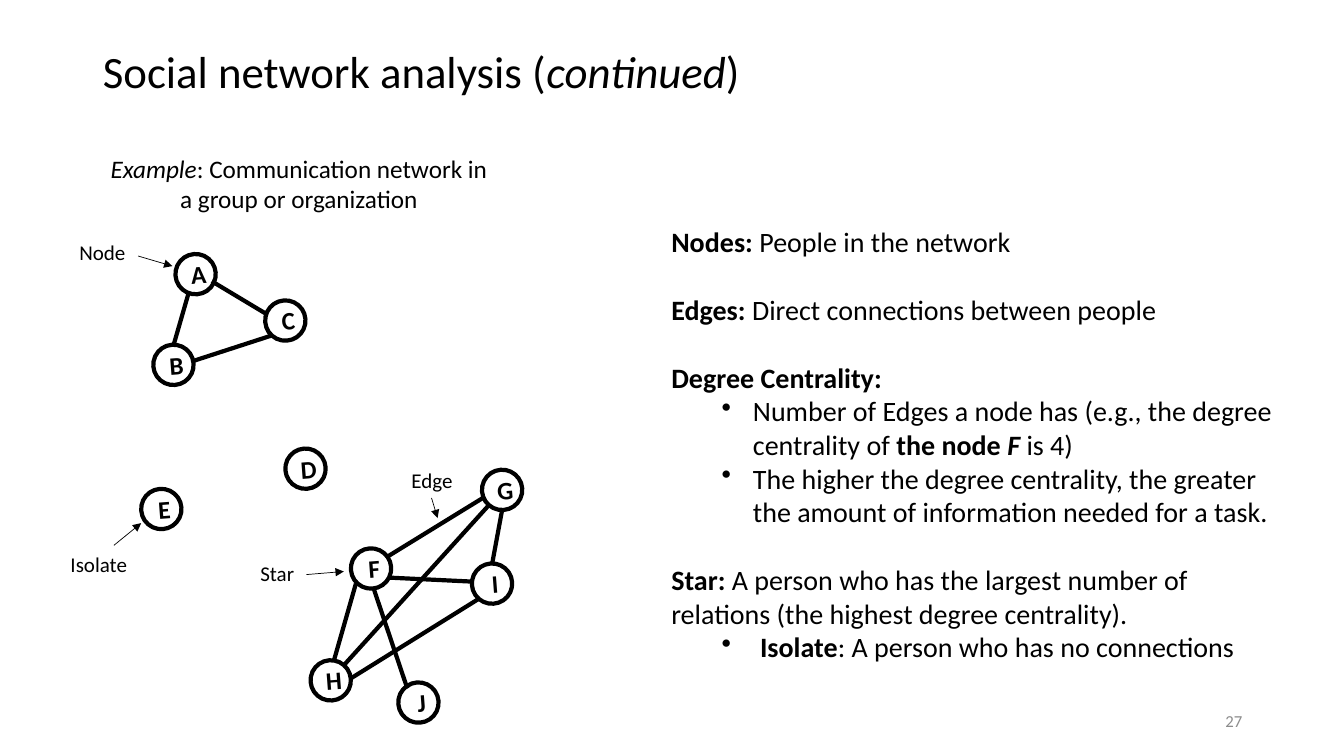
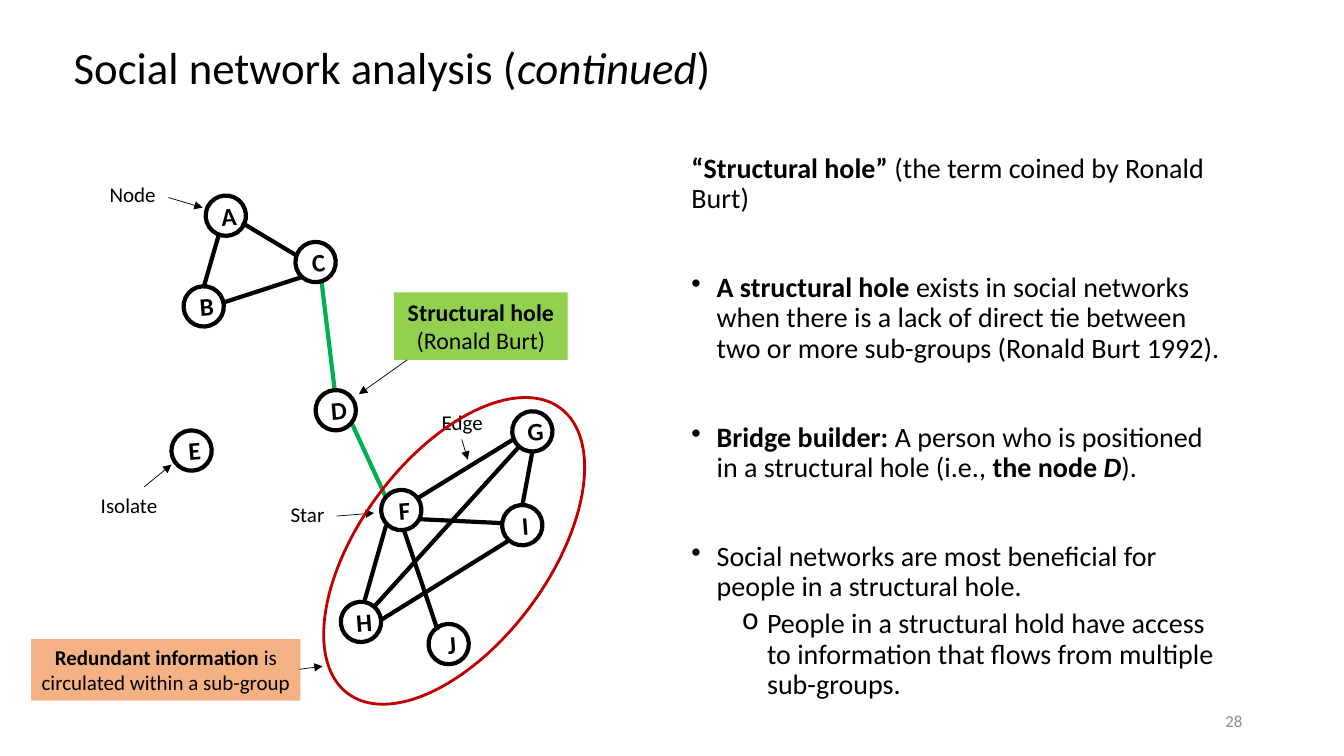
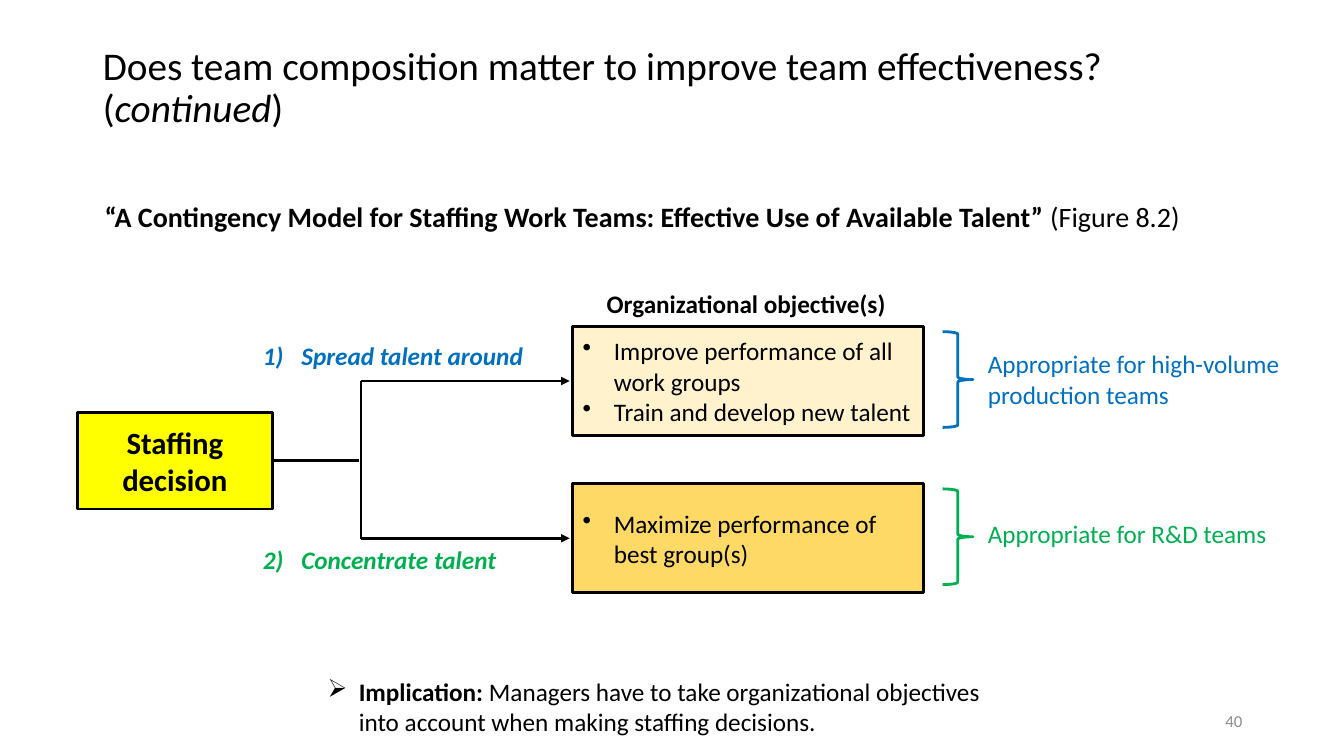
import pptx
import pptx.dml.color
import pptx.enum.shapes
import pptx.enum.text
import pptx.oxml.ns
import pptx.util
from lxml import etree
from pptx.util import Inches

COLORS = {
    "black": "000000", "gray": "8C8C8C", "green": "00B050", "blue": "0070C0",
    "red": "C00000", "lime": "92D050", "peach": "F4B183", "yellow": "FFFF00",
    "cream": "FFF2CC", "gold": "FFD966",
}
SHAPE = pptx.enum.shapes.MSO_SHAPE
ALIGN = pptx.enum.text.PP_ALIGN
ANCHOR = pptx.enum.text.MSO_ANCHOR

NODE_SIZE = 0.4
NODES = {
    "A": (1.74, 2.52), "B": (1.52, 3.42), "C": (2.63, 2.98), "D": (2.83, 4.45),
    "E": (1.4, 4.85), "F": (3.48, 5.44), "G": (4.78, 4.66), "H": (3.08, 6.55),
    "I": (4.68, 5.59), "J": (3.95, 6.77),
}
EDGES = [
    (1.87, 2.91, 1.72, 3.43), (2.69, 3.33, 1.92, 3.58), (2.65, 3.12, 2.1, 2.79),
    (4.79, 4.94, 3.83, 5.53), (3.53, 5.79, 3.31, 6.56), (4.75, 5.94, 3.48, 6.73),
    (4.98, 5.06, 4.88, 5.6), (4.85, 5.01, 3.41, 6.6), (4.68, 5.77, 3.85, 5.73),
    (3.71, 5.85, 4.04, 6.83),
]
LABELS = {
    "Node": ((0.67, 2.33, 0.69, 0.35), (1.37, 2.54, 1.71, 2.64)),
    "Edge": ((3.96, 4.59, 0.65, 0.35), (4.28, 4.94, 4.34, 5.14)),
    "Isolate": ((0.6, 5.42, 0.76, 0.35), (1.13, 5.41, 1.4, 5.19)),
    "Star": ((2.47, 5.51, 0.56, 0.35), (3.04, 5.7, 3.41, 5.67)),
}


def rgb(name):
    return pptx.dml.color.RGBColor.from_string(COLORS[name])


def add_child(parent, tag, **attributes):
    return etree.SubElement(parent, pptx.oxml.ns.qn(tag), **attributes)


def write(paragraph, text, size=18, color="black", style="", align=ALIGN.LEFT,
          bullet=None, number=None, left=0, hanging=0, level=0, before=0, spacing=None):
    """Text is a string or a list of (text, style) pairs; style holds b and i."""
    paragraph.alignment = align
    paragraph.level = level
    paragraph.space_before = pptx.util.Pt(before)
    if spacing:
        paragraph.line_spacing = spacing
    pieces = [(text, style)] if isinstance(text, str) else text
    for piece, piece_style in pieces:
        run = paragraph.add_run()
        run.text = piece
        run.font.name = "Calibri"
        run.font.size = pptx.util.Pt(size)
        run.font.color.rgb = rgb(color)
        run.font.bold = "b" in piece_style
        run.font.italic = "i" in piece_style
    properties = paragraph._p.get_or_add_pPr()
    properties.set("marL", str(Inches(left)))
    properties.set("indent", str(Inches(-hanging)))
    if number:
        add_child(properties, "a:buAutoNum", type="arabicParenR", startAt=str(number))
    elif bullet:
        add_child(properties, "a:buChar", char=bullet)
    else:
        add_child(properties, "a:buNone")


class Deck:
    def __init__(self):
        self.presentation = pptx.Presentation()
        self.presentation.slide_width = Inches(13.33)
        self.presentation.slide_height = Inches(7.5)
        self.slide = None

    def start(self, title, box, page, size=32):
        self.slide = self.presentation.slides.add_slide(self.presentation.slide_layouts[5])
        shape = self.slide.shapes.title
        shape.left, shape.top, shape.width, shape.height = map(Inches, box)
        self.fill_text(shape, [(title, {})], ANCHOR.MIDDLE, size=size, spacing=0.9)
        self.text(page, (9.42, 6.95, 3, 0.4), ANCHOR.MIDDLE,
                  size=12, color="gray", align=ALIGN.RIGHT)

    def fill_text(self, shape, lines, anchor=ANCHOR.TOP, wrap=True, **shared):
        frame = shape.text_frame
        frame.auto_size = pptx.enum.text.MSO_AUTO_SIZE.NONE
        frame.word_wrap = wrap
        frame.vertical_anchor = anchor
        for index, (text, own) in enumerate(lines):
            paragraph = frame.add_paragraph() if index else frame.paragraphs[0]
            write(paragraph, text, **{**shared, **own})

    def text(self, content, box, anchor=ANCHOR.TOP, wrap=True, **shared):
        shape = self.slide.shapes.add_textbox(*map(Inches, box))
        lines = [(content, {})] if isinstance(content, str) else content
        self.fill_text(shape, lines, anchor, wrap, **shared)

    def shape(self, kind, box, fill=None, line=None, width=2, rotation=0):
        shape = self.slide.shapes.add_shape(kind, *map(Inches, box))
        shape.shadow.inherit = False
        shape.rotation = rotation
        if fill:
            shape.fill.solid()
            shape.fill.fore_color.rgb = rgb(fill)
        else:
            shape.fill.background()
        if line:
            shape.line.color.rgb = rgb(line)
            shape.line.width = pptx.util.Pt(width)
        else:
            shape.line.fill.background()
        return shape

    def box(self, lines, box, fill, line=None, anchor=ANCHOR.MIDDLE, **shared):
        self.fill_text(self.shape(SHAPE.RECTANGLE, box, fill, line), lines, anchor, **shared)

    def line(self, ends, width=3, color="black", arrow=False):
        connector = self.slide.shapes.add_connector(
            pptx.enum.shapes.MSO_CONNECTOR.STRAIGHT, *map(Inches, ends))
        connector.line.color.rgb = rgb(color)
        connector.line.width = pptx.util.Pt(width)
        properties = connector.element.spPr
        if arrow:
            add_child(properties.find(pptx.oxml.ns.qn("a:ln")), "a:tailEnd", type="triangle")
        add_child(properties, "a:effectLst")

    def pointer(self, ends):
        self.line(ends, width=0.5, arrow=True)

    def node(self, letter, left, top):
        circle = self.shape(SHAPE.OVAL, (left, top, NODE_SIZE, NODE_SIZE),
                            line="black", width=3, rotation=355.5)
        frame = circle.text_frame
        frame.margin_left = Inches(0.06)
        frame.margin_right = frame.margin_top = frame.margin_bottom = 0
        self.fill_text(circle, [(letter, {})], ANCHOR.MIDDLE, False,
                       style="b", align=ALIGN.CENTER)

    def network(self, right=0, down=0):
        def moved(ends):
            return ends[0] + right, ends[1] + down, ends[2] + right, ends[3] + down

        for letter, (left, top) in NODES.items():
            self.node(letter, left + right, top + down)
        for ends in EDGES:
            self.line(moved(ends))
        for label, ((left, top, width, height), ends) in LABELS.items():
            self.text(label, (left + right, top + down, width, height),
                      wrap=False, size=15, align=ALIGN.CENTER)
            self.pointer(moved(ends))


def social_title(ending=")"):
    return [("Social network analysis (", ""), ("continued", "i"), (ending, "")]


def build_network_terms(deck):
    deck.start(social_title(), (0.92, 0.4, 11.5, 0.66), "27")
    deck.network()
    deck.text([([("Example", "i"),
                 (": Communication network in a group or organization", "")], {})],
              (0.95, 1.47, 4.03, 0.71), align=ALIGN.CENTER)
    gap = {"before": 24.4}
    bullet = {"bullet": "•", "left": 0.81, "hanging": 0.31, "level": 1}
    deck.text([
        ([("Nodes: ", "b"), ("People in the network", "")], {}),
        ([("Edges: ", "b"), ("Direct connections between people", "")], gap),
        ([("Degree Centrality:", "b")], gap),
        ([("Number of Edges a node has (e.g., the degree centrality of ", ""),
          ("the node ", "b"), ("F ", "bi"), ("is 4)", "")], bullet),
        ("The higher the degree centrality, the greater the amount of information "
         "needed for a task.", bullet),
        ([("Star: ", "b"), ("A person who has the largest number of relations "
                            "(the highest degree centrality).", "")], gap),
        ([("Isolate", "b"), (": A person who has no connections", "")],
         {**bullet, "left": 0.88, "hanging": 0.38}),
    ], (6.56, 2.18, 6.17, 4.48), size=20)


def build_structural_hole(deck):
    deck.start(social_title(), (0.63, 0.35, 11.5, 0.68), "28")
    bullet = {"bullet": "•", "left": 0.25, "hanging": 0.25, "before": 42}
    deck.text([
        ([("“Structural hole” ", "b"), ("(the term coined by Ronald Burt)", "")],
         {"before": 10}),
        ([("A structural hole ", "b"),
          ("exists in social networks when there is a lack of direct tie between "
           "two or more sub-groups (Ronald Burt 1992).", "")], bullet),
        ([("Bridge builder: ", "b"),
          ("A person who is positioned in a structural hole (i.e., ", ""),
          ("the node ", "b"), ("D", "bi"), (").", "")], bullet),
        ("Social networks are most beneficial for people in a structural hole.", bullet),
        ("People in a structural hold have access to information that flows from "
         "multiple sub-groups.",
         {"bullet": "o", "left": 0.75, "hanging": 0.25, "before": 5, "level": 1}),
    ], (6.76, 1.48, 5.54, 5.57), size=20, spacing=0.9)

    for bridge in [(3.32, 3.87, 3.19, 2.8), (3.83, 4.94, 3.49, 4.2)]:
        deck.line(bridge, color="green")
    deck.network(right=0.3, down=-0.58)
    deck.box([("Structural hole", {"style": "b"}), ("(Ronald Burt)", {})],
             (3.91, 2.9, 1.72, 0.67), "lime", anchor=ANCHOR.TOP, size=17, align=ALIGN.CENTER)
    deck.pointer((4.04, 3.57, 3.56, 3.91))
    deck.shape(SHAPE.OVAL, (2.74, 4.53, 3.53, 1.87), line="red", rotation=306.7)
    deck.box([([("Redundant information ", "b"),
                ("is circulated within a sub-group", "")], {})],
             (0.31, 6.34, 2.67, 0.61), "peach", anchor=ANCHOR.TOP, size=15, align=ALIGN.CENTER)
    deck.pointer((2.97, 6.64, 3.2, 6.61))


def build_staffing_model(deck):
    deck.start([("Does team composition matter to improve team effectiveness? (", ""),
                ("continued", "i"), (")", "")], (0.92, 0.4, 11.5, 0.96), "40", size=28)
    deck.text([([("“A Contingency Model for Staffing Work Teams: Effective Use of "
                  "Available Talent” ", "b"), ("(Figure 8.2)", "")], {})],
              (0.94, 1.93, 10.98, 0.44), size=20)
    deck.text("Organizational objective(s)", (5.64, 2.81, 3.52, 0.4),
              style="b", align=ALIGN.CENTER)
    deck.box([("Staffing decision", {})], (0.77, 4.09, 1.93, 0.96), "yellow", "black",
             size=22, style="b", align=ALIGN.CENTER)
    deck.line((2.7, 4.57, 3.56, 4.57), width=2)
    deck.line((3.58, 3.78, 3.58, 5.35), width=2)

    branches = [
        ("Spread talent around", 3.33, "blue", "cream", 3.24,
         ["Improve performance of all work groups", "Train and develop new talent"],
         "Appropriate for high-volume production teams", 3.41, 0.71),
        ("Concentrate talent", 5.35, "green", "gold", 4.8,
         ["Maximize performance of best group(s)"],
         "Appropriate for R&D teams", 5.09, 0.4),
    ]
    for number, branch in enumerate(branches, 1):
        choice, choice_top, color, fill, top, objectives, use, use_top, use_height = branch
        deck.text(choice, (2.51, choice_top, 2.98, 0.4), color=color, style="bi",
                  number=number, left=0.38, hanging=0.38)
        deck.line((3.58, top + 0.54, 5.65, top + 0.54), width=2, arrow=True)
        deck.box([(objective, {}) for objective in objectives], (5.68, top, 3.48, 1.08),
                 fill, "black", bullet="•", left=0.31, hanging=0.31)
        deck.shape(SHAPE.RIGHT_BRACE, (9.35, top + 0.05, 0.3, 0.95), line=color)
        deck.text(use, (9.7, use_top, 3.16, use_height), color=color)

    deck.text([([("Implication:", "b"),
                 (" Managers have to take organizational objectives into account when "
                  "making staffing decisions.", "")], {})],
              (3.15, 6.66, 6.85, 0.71), bullet="➢", left=0.31, hanging=0.31)


def main():
    deck = Deck()
    build_network_terms(deck)
    build_structural_hole(deck)
    build_staffing_model(deck)
    deck.presentation.save("out.pptx")


if __name__ == "__main__":
    main()
